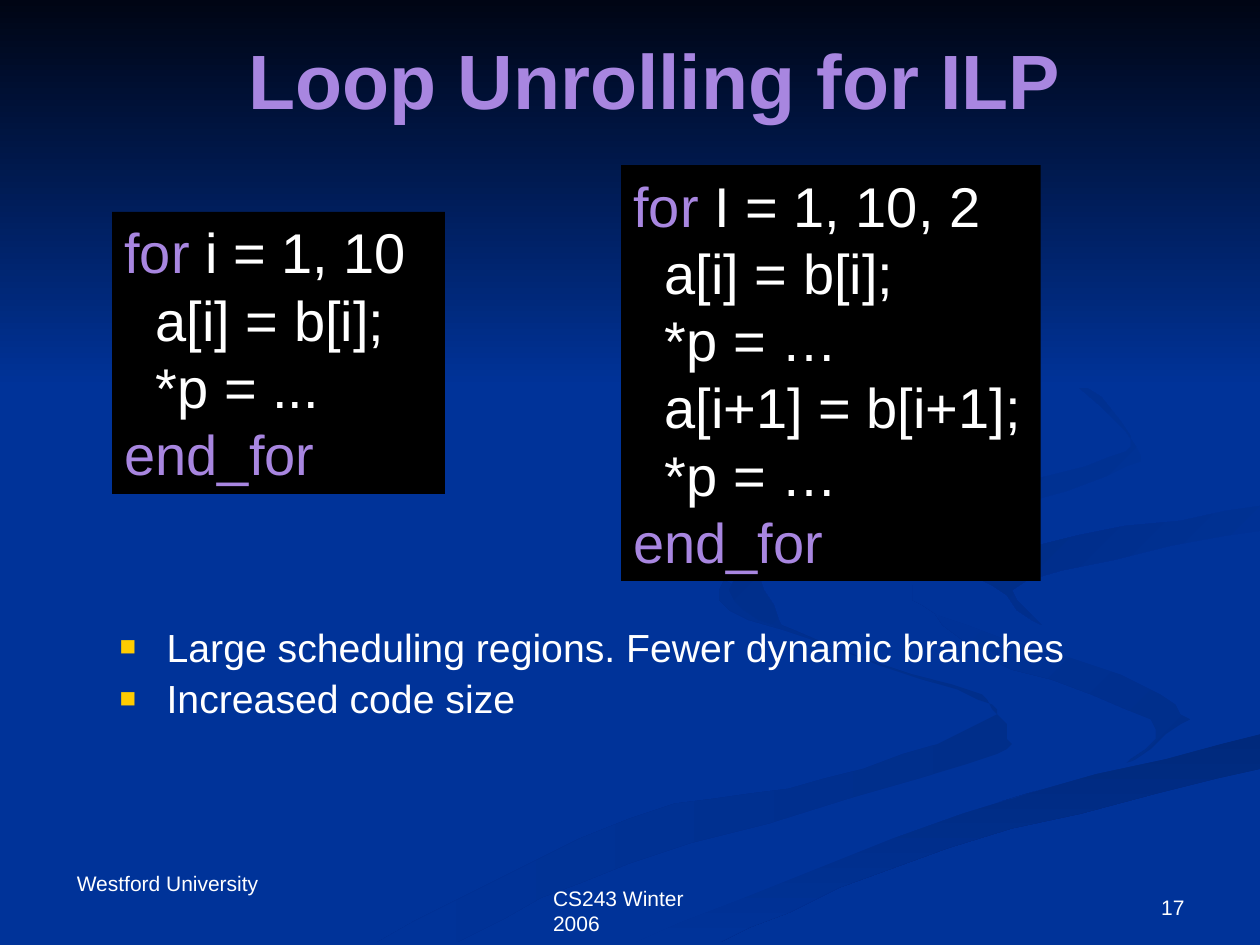
from lxml.etree import SubElement
from pptx import Presentation
from pptx.dml.color import RGBColor
from pptx.enum.shapes import MSO_SHAPE
from pptx.enum.text import MSO_ANCHOR, PP_ALIGN
from pptx.oxml.ns import qn
from pptx.util import Cm, Pt

WHITE, PURPLE, BLUE, BLACK, GOLD = "FFFFFF", "A886E0", "003399", "000000", "FFCC00"
STEPS = 5


def paint(fill, *colors, angle=0):
    """Solid fill for one colour, linear gradient (clockwise angle) for two."""
    if len(colors) == 1:
        fill.solid()
        fill.fore_color.rgb = RGBColor.from_string(colors[0])
        return
    fill.gradient()
    fill.gradient_angle = 360 - angle
    for stop, color in zip(fill.gradient_stops, colors):
        stop.color.rgb = RGBColor.from_string(color)


def write(p, text, size, color, bold=False):
    r = p.add_run()
    r.text = text
    r.font.name = "Arial"
    r.font.size = Pt(size)
    r.font.bold = bold
    paint(r.font.fill, color)


prs = Presentation()
prs.slide_width, prs.slide_height = Cm(25.4), Cm(19.05)
s = prs.slides.add_slide(prs.slide_layouts[6])
paint(s.background.fill, BLUE)

# Background ribbons: colours, gradient angle, edges in millimetres
fold = [(184, 118), (189, 124), (226, 136), (240, 145)]
sweep = [(254, 148), (194, 164), (128, 190)]
crest = [(198, 117), (209, 110), (254, 102)]
ribbons = [
    (("002E8A", BLUE), 180, [
        [(198, 140), (160, 127), (146, 117)],
        [(145, 119), (151, 125), (193, 139), (199, 145), (166, 157), (127, 165), (76, 190)],
        [(92, 190), (127, 174), (195, 154), (203, 148), (198, 140)]]),
    (("002E8A", BLUE), 225, [
        fold[::-1],
        [(184, 118), (198, 132), (232, 145), (227, 154)],
        [(227, 154), (240, 145)]]),
    (("00297C", BLUE), 90, [sweep, [(145, 190), (191, 171), (254, 155)]]),
    ((BLUE,), 0, [
        fold,
        [(240, 145), (230, 153), (157, 174), (121, 190)],
        sweep[::-1],
        [(254, 137), (220, 129), (198, 117)],
        crest,
        [(254, 98), (192, 108), (184, 118)]]),
    ((BLUE, "002C85"), 225, [
        crest[::-1],
        [(198, 117), (210, 126)],
        [(210, 126), (207, 117), (254, 107)]]),
    ((BLUE, "002B81"), 225, [
        [(173, 109), (223, 96), (227, 87), (194, 59)],
        [(194, 59), (226, 85), (219, 94), (165, 107), (147, 119), (158, 127)],
        [(158, 127), (154, 114), (173, 109)]]),
]
for colors, angle, edges in ribbons:
    outline = []
    for edge in edges:
        # Catmull-Rom curve through the points of one edge
        ends = [edge[0], *edge, edge[-1]]
        for a, b, c, d in zip(ends, ends[1:], ends[2:], ends[3:]):
            for t in (k / STEPS for k in range(STEPS)):
                outline.append(tuple(
                    q + t / 2 * (r - p + t * (2 * p - 5 * q + 4 * r - u + t * (3 * (q - r) + u - p)))
                    for p, q, r, u in zip(a, b, c, d)))
        outline.append(edge[-1])
    fb = s.shapes.build_freeform(*outline[0], scale=Cm(0.1))
    fb.add_line_segments(outline[1:])
    sp = fb.convert_to_shape()
    sp.shadow.inherit = False
    sp.line.fill.background()
    paint(sp.fill, *colors, angle=angle)

# Dark fade at the top, then the two code panels
code_left = [("for", " i = 1, 10"), "a[i] = b[i];", "*p = ...", ("end_for", "")]
code_right = [("for", " I = 1, 10, 2"), "a[i] = b[i];", "*p = …", "a[i+1] = b[i+1];",
              "*p = …", ("end_for", "")]
panels = [
    ((0, 0, 25.4, 7.82), ("000514", BLUE), []),
    ((2.26, 4.27, 6.71, 5.69), (BLACK,), code_left),
    ((12.52, 3.33, 8.46, 8.38), (BLACK,), code_right),
]
for box, colors, code in panels:
    sp = s.shapes.add_shape(MSO_SHAPE.RECTANGLE, *map(Cm, box))
    sp.shadow.inherit = False
    sp.line.fill.background()
    paint(sp.fill, *colors, angle=90)
    tf = sp.text_frame
    tf.vertical_anchor = MSO_ANCHOR.TOP
    for i, line in enumerate(code):
        p = tf.add_paragraph() if i else tf.paragraphs[0]
        p.alignment = PP_ALIGN.LEFT
        if isinstance(line, tuple):
            keyword, rest = line
            write(p, keyword, 32, PURPLE)
            if rest:
                write(p, rest, 32, WHITE)
        else:
            p._p.get_or_add_pPr().set("marL", str(Cm(0.63)))
            write(p, line, 32, WHITE)

# Title, footers and slide number
labels = [
    ("Loop Unrolling for ILP", (2.11, 0, 22.2, 3.18), 44, PURPLE, PP_ALIGN.CENTER, MSO_ANCHOR.MIDDLE),
    ("CS243 Winter 2006", (10.9, 17.73, 4.19, 0.76), 12, WHITE, PP_ALIGN.LEFT, MSO_ANCHOR.TOP),
    ("Westford University", (1.3, 17.42, 4.78, 0.76), 12, WHITE, PP_ALIGN.LEFT, MSO_ANCHOR.TOP),
    ("17", (18.21, 17.35, 5.92, 1.32), 12, WHITE, PP_ALIGN.RIGHT, MSO_ANCHOR.BOTTOM),
]
for text, box, size, color, align, anchor in labels:
    tf = s.shapes.add_textbox(*map(Cm, box)).text_frame
    tf.word_wrap = True
    tf.vertical_anchor = anchor
    p = tf.paragraphs[0]
    p.alignment = align
    write(p, text, size, color, bold=size == 44)

# Bullet list
tf = s.shapes.add_textbox(Cm(2.16), Cm(12.62), Cm(20.73), Cm(3)).text_frame
tf.word_wrap = True
for i, text in enumerate(["Large scheduling regions. Fewer dynamic branches", "Increased code size"]):
    p = tf.add_paragraph() if i else tf.paragraphs[0]
    p.line_spacing = 0.8
    p.space_before = Pt(8)
    pPr = p._p.get_or_add_pPr()
    pPr.set("marL", str(Cm(0.95)))
    pPr.set("indent", str(Cm(-0.95)))
    SubElement(SubElement(pPr, qn("a:buClr")), qn("a:srgbClr"), val=GOLD)
    SubElement(pPr, qn("a:buSzPct"), val="70000")
    SubElement(pPr, qn("a:buFont"), typeface="Arial")
    SubElement(pPr, qn("a:buChar"), char="■")
    write(p, text, 22.4, WHITE)

prs.save("out.pptx")
